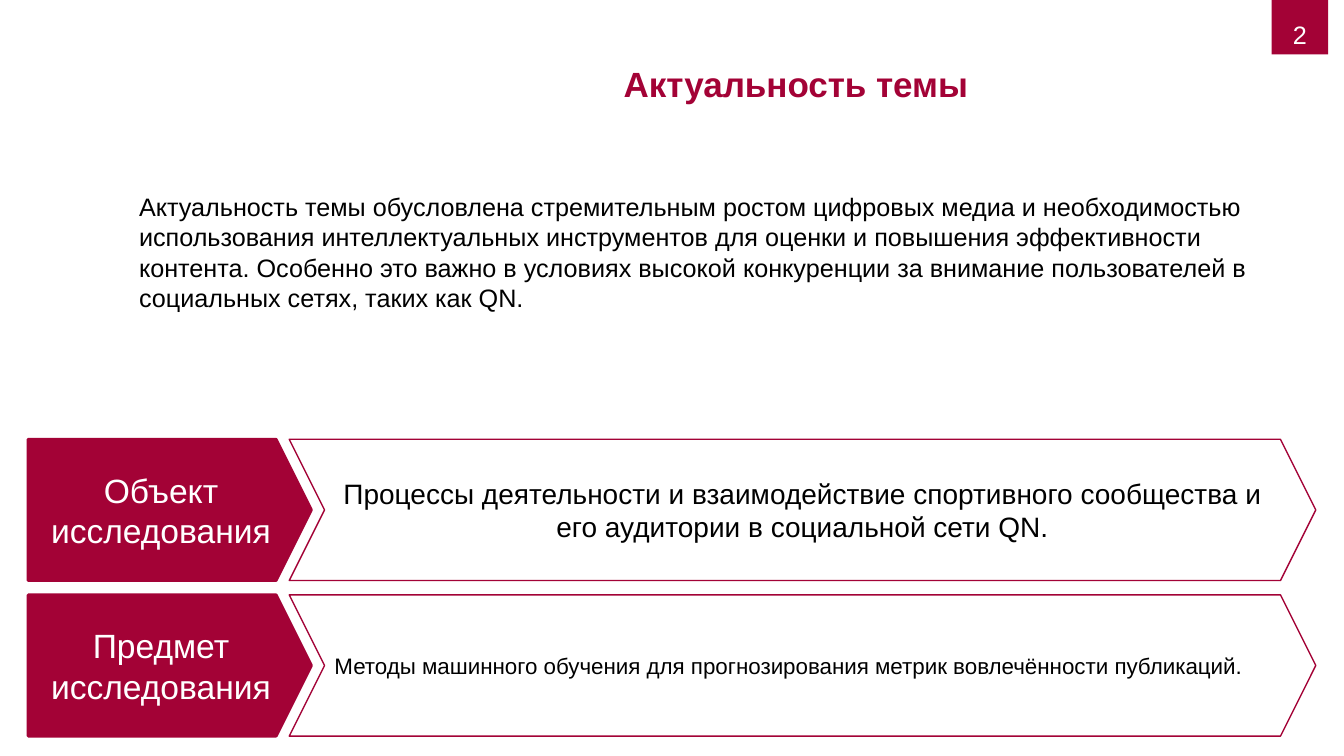
from dataclasses import dataclass

from lxml import etree
from pptx import Presentation
from pptx.dml import color as c
from pptx.enum import shapes as s, text as t
from pptx.oxml import ns
from pptx.util import Cm, Pt


@dataclass(frozen=True)
class Theme:
    font: str = "Arial"
    crimson: c.RGBColor = c.RGBColor(0xA3, 0x02, 0x36)
    white: c.RGBColor = c.RGBColor(0xFF, 0xFF, 0xFF)
    black: c.RGBColor = c.RGBColor(0, 0, 0)
    title: int = 25
    label: int = 24
    large: int = 20
    body: int = 18
    small: int = 16


theme = Theme()


def write_text(shape, text, size, color, bold=False,
               align=t.PP_ALIGN.CENTER, anchor=t.MSO_ANCHOR.MIDDLE):
    frame = shape.text_frame
    frame.word_wrap = True
    frame.auto_size = t.MSO_AUTO_SIZE.NONE
    frame.vertical_anchor = anchor
    frame.text = text
    paragraph = frame.paragraphs[0]
    paragraph.alignment = align
    paragraph.space_before = Pt(0)
    properties = paragraph._p.get_or_add_pPr()
    properties.set("marL", "0")
    properties.set("indent", "0")
    etree.SubElement(properties, ns.qn("a:buNone"))
    font = paragraph.runs[0].font
    font.name = theme.font
    font.size = Pt(size)
    font.bold = bold
    font.color.rgb = color


def add_block(slide, kind, left, top, width, height, fill, line_width):
    shape = slide.shapes.add_shape(kind, Cm(left), Cm(top), Cm(width), Cm(height))
    shape.shadow.inherit = False
    shape.fill.solid()
    shape.fill.fore_color.rgb = fill
    shape.line.color.rgb = theme.crimson
    shape.line.width = Pt(line_width)
    if line_width == 0:
        shape.line.fill.background()
    return shape


presentation = Presentation()
presentation.slide_width = Cm(33.87)
presentation.slide_height = Cm(19.05)
slide = presentation.slides.add_slide(presentation.slide_layouts[1])

title = slide.shapes.title
title.left, title.top, title.width, title.height = Cm(10.16), Cm(0.84), Cm(19.79), Cm(2.51)
write_text(title, "Актуальность темы", theme.title, theme.crimson, bold=True)

body = slide.placeholders[1]
body.left, body.top, body.width, body.height = Cm(3.25), Cm(4.7), Cm(29.51), Cm(3.33)
write_text(
    body,
    "Актуальность темы обусловлена стремительным ростом цифровых медиа и необходимостью "
    "использования интеллектуальных инструментов для оценки и повышения эффективности контента. "
    "Особенно это важно в условиях высокой конкуренции за внимание пользователей "
    "в социальных сетях, таких как QN.",
    theme.body, theme.black, align=t.PP_ALIGN.LEFT, anchor=t.MSO_ANCHOR.TOP)

badge = add_block(slide, s.MSO_SHAPE.RECTANGLE, 32.05, 0, 1.42, 1.37, theme.crimson, 0)
write_text(badge, "2", theme.body, theme.white, anchor=t.MSO_ANCHOR.BOTTOM)

rows = [
    ("Объект исследования",
     "Процессы деятельности и взаимодействие спортивного сообщества и его аудитории "
     "в социальной сети QN.",
     theme.large, t.PP_ALIGN.CENTER),
    ("Предмет исследования",
     "Методы машинного обучения для прогнозирования метрик вовлечённости публикаций.",
     theme.small, t.PP_ALIGN.LEFT),
]
first_top, row_step, row_height, point = 11.07, 3.92, 3.56, 0.25

for index, (label, description, size, align) in enumerate(rows):
    top = first_top + index * row_step
    chevron = add_block(slide, s.MSO_SHAPE.CHEVRON, 7.29, top, 25.87, row_height, theme.white, 1)
    chevron.adjustments[0] = point
    write_text(chevron, description, size, theme.black, align=align)
    plate = add_block(slide, s.MSO_SHAPE.PENTAGON, 0.71, top, 7.14, row_height, theme.crimson, 2)
    plate.adjustments[0] = point
    write_text(plate, label, theme.label, theme.white)

presentation.save("out.pptx")
